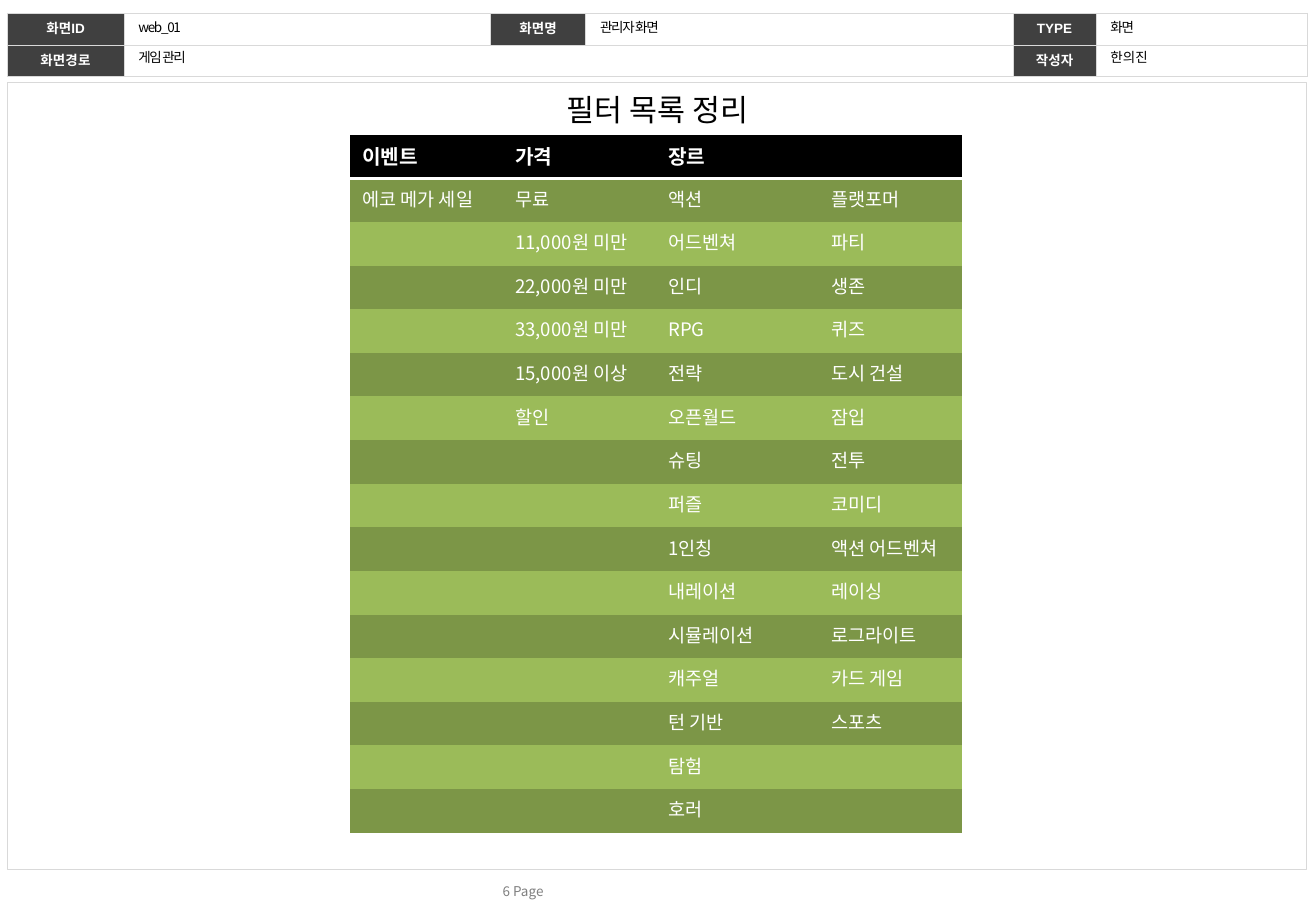
import itertools

import lxml.etree
import pptx
import pptx.dml.color
import pptx.enum.shapes
import pptx.enum.text
import pptx.oxml.ns
import pptx.util

Inches = pptx.util.Inches
ANCHOR = pptx.enum.text.MSO_ANCHOR
ALIGN = pptx.enum.text.PP_ALIGN
qualified = pptx.oxml.ns.qn

COLORS = {
    "black": "000000", "white": "FFFFFF", "label": "404040", "border": "D9D9D9",
    "page": "808080", "dark_green": "7C9647", "light_green": "9BBB59",
}
FONT = "Noto Sans CJK KR"
NO_TABLE_STYLE = "{2D5ABB26-0587-4C30-8999-92F81FD0307C}"
WIDTH, HEIGHT, MARGIN = 10.83, 7.5, 0.06


def rgb(name):
    return pptx.dml.color.RGBColor.from_string(COLORS[name])


def write(holder, text, size=8, color="black", font=FONT, bold=False,
          align=ALIGN.LEFT, anchor=ANCHOR.TOP, spacing=0):
    holder.text_frame.word_wrap = True
    # A cell keeps its anchor itself, a text box keeps it in its text frame
    target = holder if hasattr(holder, "is_merge_origin") else holder.text_frame
    target.vertical_anchor = anchor
    paragraph = holder.text_frame.paragraphs[0]
    paragraph.alignment = align
    if not text:
        lxml.etree.SubElement(paragraph._p, qualified("a:endParaRPr"), sz=str(size * 100))
        return
    run = paragraph.add_run()
    run.text = text
    run.font.size = pptx.util.Pt(size)
    run.font.bold = bold
    run.font.color.rgb = rgb(color)
    run.font.name = font
    properties = run.font._element
    properties.set("spc", str(int(spacing * 100)))
    lxml.etree.SubElement(properties, qualified("a:ea"), typeface=font)


presentation = pptx.Presentation()
presentation.slide_width = Inches(WIDTH)
presentation.slide_height = Inches(HEIGHT)
slide = presentation.slides.add_slide(presentation.slide_layouts[6])

# Content frame
frame = slide.shapes.add_shape(
    pptx.enum.shapes.MSO_SHAPE.RECTANGLE,
    Inches(MARGIN), Inches(0.68), Inches(WIDTH - 0.14), Inches(6.48))
frame.shadow.inherit = False
frame.fill.background()
frame.line.color.rgb = rgb("border")
frame.line.width = pptx.util.Pt(0.75)

# Both tables: place, column widths, row height and wording
header_columns = [0.96, 3.02, 0.78, 3.52, 0.68, 1.74]
header_top, header_row = 0.11, 0.26
header_rows = [
    ["화면ID", "", "화면명", "", "TYPE", ""],
    ["화면경로", "", "", "", "작성자", ""],
]
events = ["이벤트", "에코 메가 세일"]
prices = ["가격", "무료", "11,000원 미만", "22,000원 미만", "33,000원 미만",
          "15,000원 이상", "할인"]
genres = ["장르", "액션", "어드벤쳐", "인디", "RPG", "전략", "오픈월드", "슈팅", "퍼즐",
          "1인칭", "내레이션", "시뮬레이션", "캐주얼", "턴 기반", "탐험", "호러"]
more_genres = ["", "플랫포머", "파티", "생존", "퀴즈", "도시 건설", "잠입", "전투", "코미디",
               "액션 어드벤쳐", "레이싱", "로그라이트", "카드 게임", "스포츠"]
filter_rows = list(itertools.zip_longest(
    events, prices, genres, more_genres, fillvalue=""))
filter_columns = [1.26, 1.26, 1.34, 1.18]

layouts = [
    ("header", MARGIN, header_top, header_columns, header_row, header_rows),
    ("filters", 2.88, 1.11, filter_columns, 5.75 / len(filter_rows), filter_rows),
]
for kind, left, top, columns, row_height, rows in layouts:
    graphic = slide.shapes.add_table(
        len(rows), len(columns), Inches(left), Inches(top),
        Inches(sum(columns)), Inches(row_height * len(rows)))
    table = graphic.table
    table.first_row = table.horz_banding = False
    table._tbl.tblPr.find(qualified("a:tableStyleId")).text = NO_TABLE_STYLE
    for column, width in zip(table.columns, columns):
        column.width = Inches(width)
    for row in table.rows:
        row.height = Inches(row_height)

    for row_index, column_index in itertools.product(range(len(rows)), range(len(columns))):
        cell = table.cell(row_index, column_index)
        text = rows[row_index][column_index]
        if kind == "header":
            fill = "white" if column_index % 2 or not text else "label"
            sides, border, points = ["lnL", "lnR", "lnT", "lnB"], "border", 0.5
            write(cell, text, color="white", font="Arial", bold=True,
                  align=ALIGN.CENTER, anchor=ANCHOR.MIDDLE)
        else:
            is_title = row_index == 0
            fill = "black" if is_title else ["light_green", "dark_green"][row_index % 2]
            sides, border, points = ["lnB"] if is_title else [], "white", 2
            write(cell, text, size=12 if is_title else 11, color="white", bold=is_title)
        cell.fill.solid()
        cell.fill.fore_color.rgb = rgb(fill)

        # Cell borders come before the fill
        cell_properties = cell._tc.get_or_add_tcPr()
        for position, side in enumerate(sides):
            line = lxml.etree.Element(qualified(f"a:{side}"), w=str(pptx.util.Pt(points)))
            solid = lxml.etree.SubElement(line, qualified("a:solidFill"))
            lxml.etree.SubElement(solid, qualified("a:srgbClr"), val=COLORS[border])
            cell_properties.insert(position, line)

    if kind == "header":
        table.cell(1, 1).merge(table.cell(1, 3))
    else:
        table.cell(0, 2).merge(table.cell(0, 3))

# Header values: column, row, width, text, letter spacing
for column_index, row_index, width, text, spacing in [
    (1, 0, 2.99, "web_01", -0.8),
    (3, 0, 2.99, "관리자 화면", -0.8),
    (5, 0, 1.72, "화면", -0.8),
    (1, 1, 2.99, "게임 관리", -0.8),
    (5, 1, 1.72, "한의진", 0),
]:
    left = MARGIN + sum(header_columns[:column_index]) + 0.02
    box = slide.shapes.add_textbox(
        Inches(left), Inches(0.1 + row_index * 0.25), Inches(width), Inches(0.24))
    write(box, text, anchor=ANCHOR.MIDDLE, spacing=spacing)

# Title and page number
for left, top, width, height, text, size, color in [
    (4.07, 0.7, 2.68, 0.4, "필터 목록 정리", 18, "black"),
    (MARGIN, 7.22, 8.49, 0.24, "6 Page", 8, "page"),
]:
    box = slide.shapes.add_textbox(Inches(left), Inches(top), Inches(width), Inches(height))
    write(box, text, size=size, color=color, align=ALIGN.CENTER)
    box.text_frame.auto_size = pptx.enum.text.MSO_AUTO_SIZE.SHAPE_TO_FIT_TEXT

presentation.save("out.pptx")
